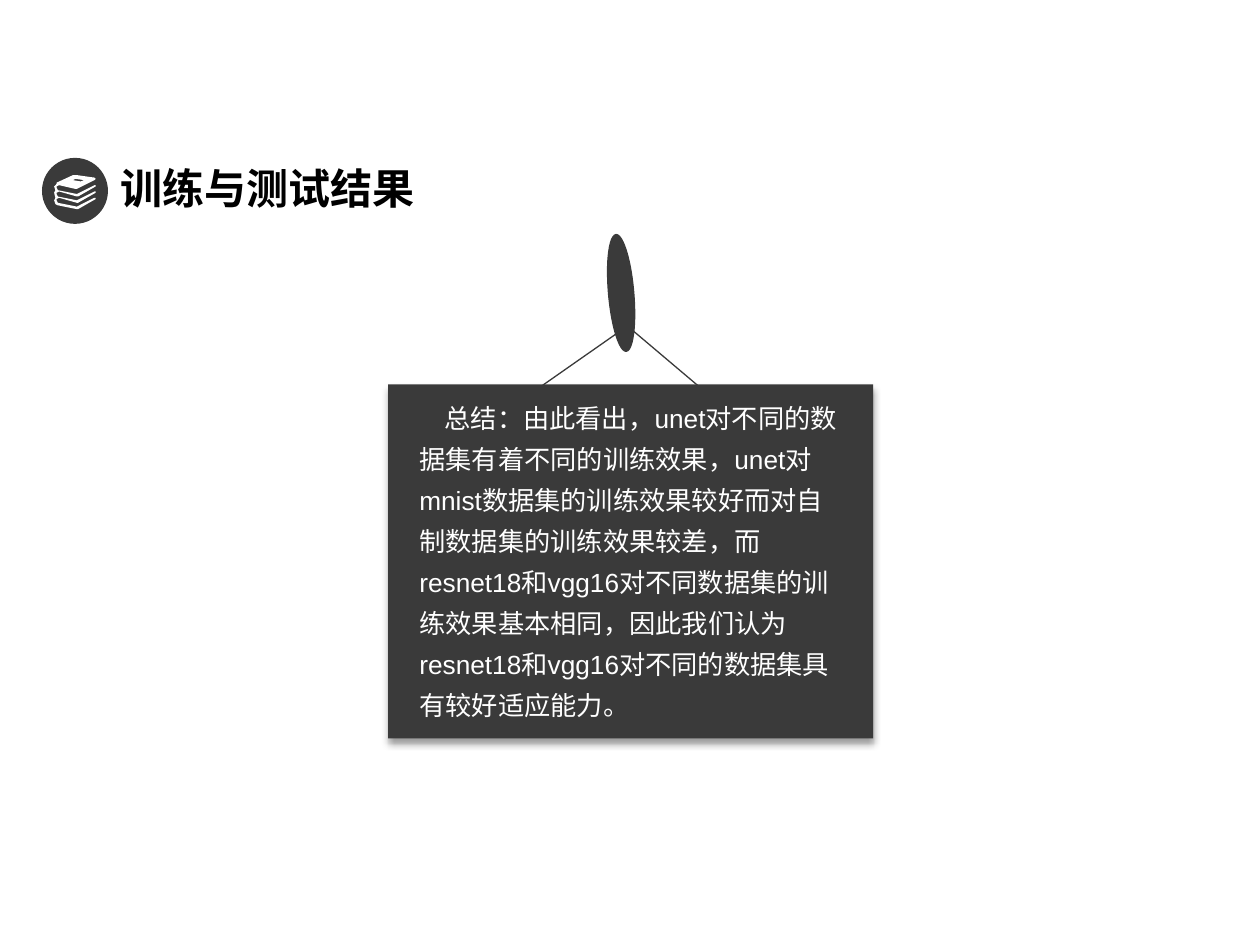
from dataclasses import dataclass

from lxml import etree
from pptx import Presentation
from pptx.dml.color import RGBColor
from pptx.enum import shapes, text
from pptx.oxml import ns
from pptx.util import Inches, Pt

DARK, WHITE, BLACK = "3A3A3A", "FFFFFF", "000000"


@dataclass
class Box:
    left: float
    top: float
    width: float
    height: float

    def lengths(self) -> list:
        return [Inches(v) for v in (self.left, self.top, self.width, self.height)]


@dataclass
class String:
    start: tuple[float, float]
    end: tuple[float, float]


@dataclass
class Label:
    box: Box
    words: str
    size: float
    color: str
    bold: bool = False
    spacing: float = 1.0
    indent: float = 0


def rgb(color: str) -> RGBColor:
    return RGBColor.from_string(color)


def paint(sp, fill: str, line_width: float = 0) -> None:
    sp.shadow.inherit = False
    sp.fill.solid()
    sp.fill.fore_color.rgb = rgb(fill)
    if line_width:
        sp.line.color.rgb = rgb(fill)
        sp.line.width = Pt(line_width)
    else:
        sp.line.fill.background()


def add_preset(s, kind, box: Box, fill: str, line_width: float = 0):
    sp = s.shapes.add_shape(kind, *box.lengths())
    paint(sp, fill, line_width)
    return sp


def add_string(s, string: String) -> None:
    ends = [Inches(v) for v in string.start + string.end]
    line = s.shapes.add_connector(shapes.MSO_CONNECTOR.STRAIGHT, *ends)
    line.line.color.rgb = rgb(DARK)
    line.line.width = Pt(0.75)
    etree.SubElement(line._element.spPr, ns.qn("a:effectLst"))


def add_drop_shadow(sp) -> None:
    effects = sp._element.spPr.find(ns.qn("a:effectLst"))
    shadow = etree.SubElement(effects, ns.qn("a:outerShdw"), blurRad=str(Pt(4)),
                              dist=str(Pt(3)), dir="5400000", algn="t", rotWithShape="0")
    color = etree.SubElement(shadow, ns.qn("a:srgbClr"), val=BLACK)
    etree.SubElement(color, ns.qn("a:alpha"), val="40000")


def add_label(s, label: Label) -> None:
    tf = s.shapes.add_textbox(*label.box.lengths()).text_frame
    tf.word_wrap = True
    tf.auto_size = text.MSO_AUTO_SIZE.SHAPE_TO_FIT_TEXT
    p = tf.paragraphs[0]
    p.line_spacing = label.spacing
    if label.indent:
        p._p.get_or_add_pPr().set("indent", str(Inches(label.indent)))
    r = p.add_run()
    r.text = label.words
    r.font.name = "Arial"
    r.font.size = Pt(label.size)
    r.font.bold = label.bold
    r.font.color.rgb = rgb(label.color)


def add_outline(s, contours: list, fill: str) -> None:
    """Draw closed contours whose points are hundredths of an inch."""
    builder = s.shapes.build_freeform(*contours[0][0], scale=Inches(0.01))
    for i, (first, *rest) in enumerate(contours):
        if i:
            builder.move_to(*first)
        builder.add_line_segments(rest, close=True)
    paint(builder.convert_to_shape(), fill)


def page_edge(y: int) -> list:
    """Edge of one book's pages, from the right corner round the spine."""
    return [(62, y), (76, y - 8), (76, y - 9), (75, y - 9), (61, y - 2),
            (46, y - 5), (45, y - 7), (45, y - 8), (47, y - 9), (61, y - 5)]


BOOKS = [
    page_edge(161) + page_edge(156)[:-1]
    + [(60, 150), (61, 150), (75, 143), (76, 142), (75, 141), (61, 139), (58, 139),
       (45, 145), (45, 146), (43, 148), (44, 151), (43, 153), (44, 157), (43, 159),
       (44, 162), (46, 163), (61, 166)]
    + page_edge(166),
    [(60, 142), (67, 143), (64, 144), (58, 143)],
]

STRINGS = [String((4.29, 3.07), (4.89, 2.65)), String((5.03, 2.63), (5.55, 3.07))]

TITLE = Label(Box(0.86, 1.24, 3.6, 0.5), "训练与测试结果", 24, BLACK, bold=True)
SUMMARY = Label(
    Box(3.23, 3.07, 3.6, 2.73),
    "总结：由此看出，unet对不同的数据集有着不同的训练效果，"
    "unet对mnist数据集的训练效果较好而对自制数据集的训练效果较差，"
    "而resnet18和vgg16对不同数据集的训练效果基本相同，"
    "因此我们认为resnet18和vgg16对不同的数据集具有较好适应能力。",
    15, WHITE, spacing=1.3, indent=0.2)


def main() -> None:
    prs = Presentation()
    prs.slide_width, prs.slide_height = Inches(10), Inches(7.5)
    s = prs.slides.add_slide(prs.slide_layouts[6])
    oval, rectangle = shapes.MSO_SHAPE.OVAL, shapes.MSO_SHAPE.RECTANGLE

    # Hanging board: strings, nail and panel
    for string in STRINGS:
        add_string(s, string)
    nail = add_preset(s, oval, Box(4.83, 1.86, 0.2, 0.93), DARK, 0.75)
    nail.rotation = 355
    board = add_preset(s, rectangle, Box(3.08, 3.05, 3.85, 2.81), DARK)
    add_drop_shadow(board)

    # Title with book icon
    add_label(s, TITLE)
    add_preset(s, oval, Box(0.34, 1.26, 0.51, 0.51), DARK, 1)
    add_outline(s, BOOKS, WHITE)

    # Summary on the board
    add_label(s, SUMMARY)

    prs.save("out.pptx")


if __name__ == "__main__":
    main()
